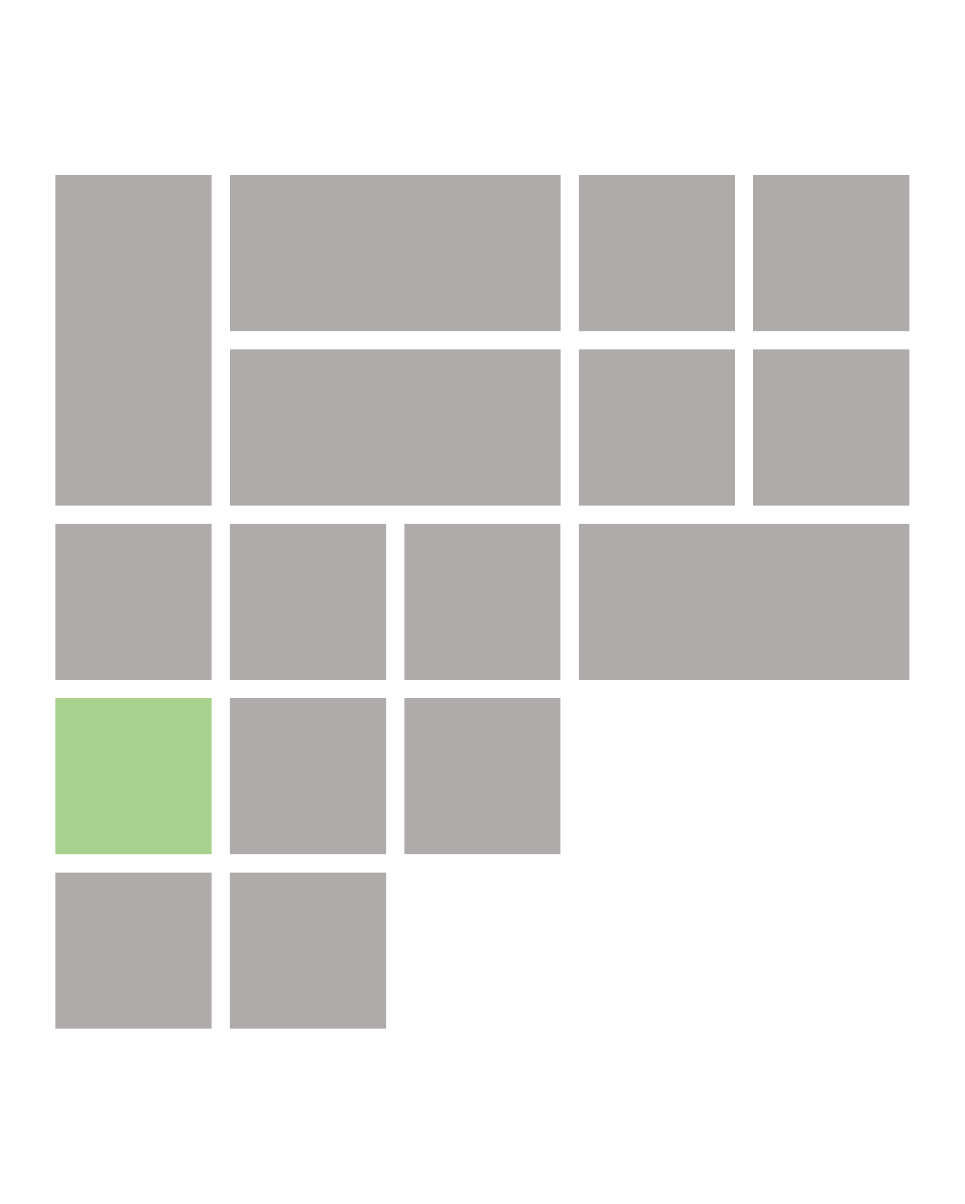
from dataclasses import dataclass

from pptx import Presentation
from pptx.dml.color import RGBColor
from pptx.enum.shapes import MSO_SHAPE
from pptx.util import Inches

RECTANGLE = MSO_SHAPE.RECTANGLE
BLANK_LAYOUT = 6

SLIDE_W, SLIDE_H = 5.56, 6.94
GRID_LEFT, GRID_TOP = 0.32, 1.01
GRID_SIZE, CELLS = 4.92, 5
TILE = 0.9
GAP = (GRID_SIZE - CELLS * TILE) / (CELLS - 1)


@dataclass(frozen=True)
class Theme:
    tile: RGBColor = RGBColor.from_string("AFABAB")
    accent: RGBColor = RGBColor.from_string("A9D18E")


THEME = Theme()

WIDE_TILES = [(1, 0), (1, 1), (3, 2)]
TALL_TILES = [(0, 0)]
ACCENT_TILES = [(0, 3)]
SINGLE_TILES = [
    (3, 0), (4, 0),
    (3, 1), (4, 1),
    (0, 2), (1, 2), (2, 2),
    (1, 3), (2, 3),
    (0, 4), (1, 4),
]


def offset(cell):
    return cell * (TILE + GAP)


def extent(span):
    return span * TILE + (span - 1) * GAP


def add_tile(s, col, row, cols=1, rows=1, color=THEME.tile):
    sp = s.shapes.add_shape(
        RECTANGLE,
        Inches(GRID_LEFT + offset(col)),
        Inches(GRID_TOP + offset(row)),
        Inches(extent(cols)),
        Inches(extent(rows)),
    )
    sp.shadow.inherit = False
    sp.fill.solid()
    sp.fill.fore_color.rgb = color
    sp.line.fill.background()


def add_tiles(s, cells, **style):
    for col, row in cells:
        add_tile(s, col, row, **style)


def main():
    prs = Presentation()
    prs.slide_width = Inches(SLIDE_W)
    prs.slide_height = Inches(SLIDE_H)
    s = prs.slides.add_slide(prs.slide_layouts[BLANK_LAYOUT])

    add_tiles(s, WIDE_TILES, cols=2)
    add_tiles(s, TALL_TILES, rows=2)
    add_tiles(s, SINGLE_TILES)
    add_tiles(s, ACCENT_TILES, color=THEME.accent)

    prs.save("out.pptx")


if __name__ == "__main__":
    main()
